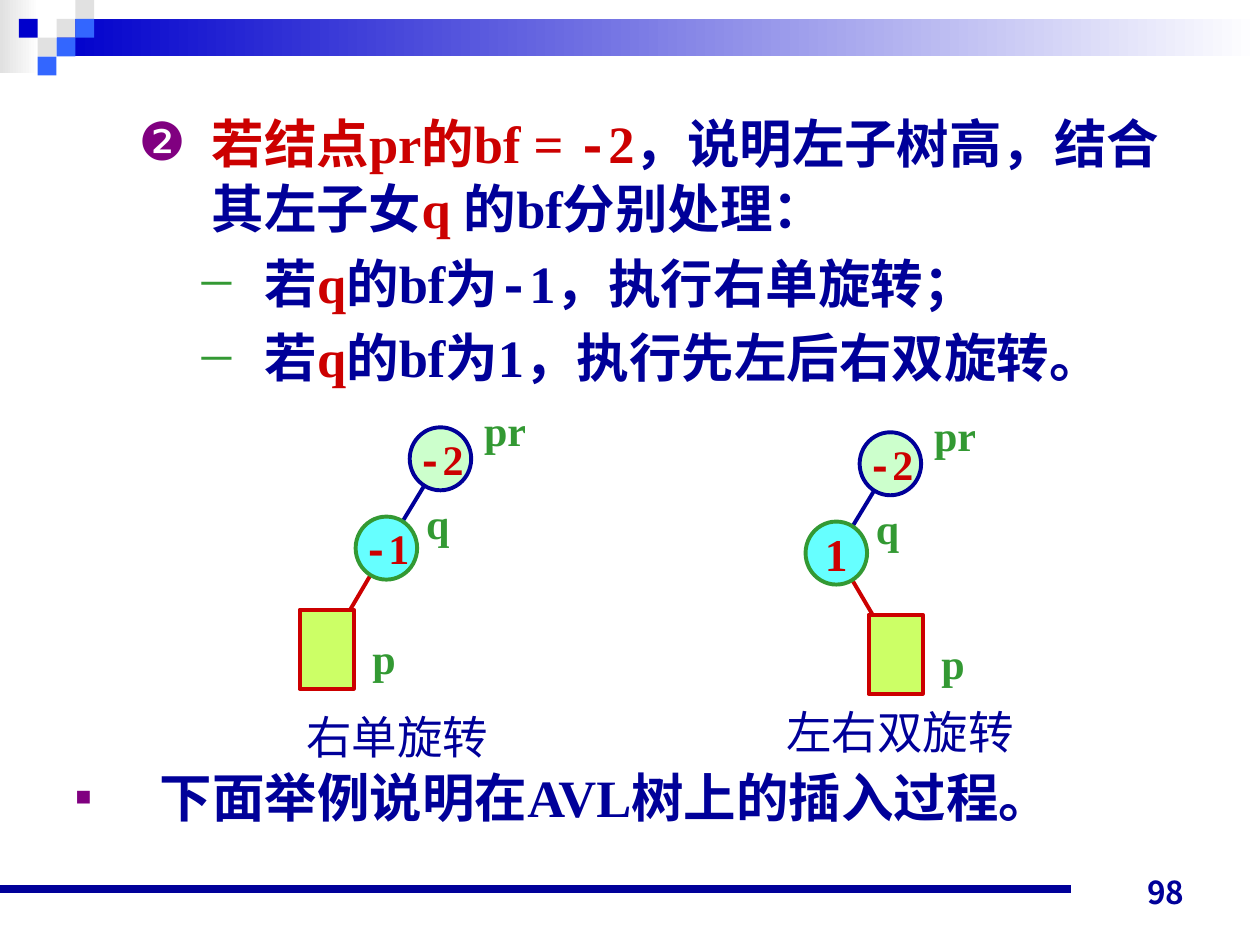
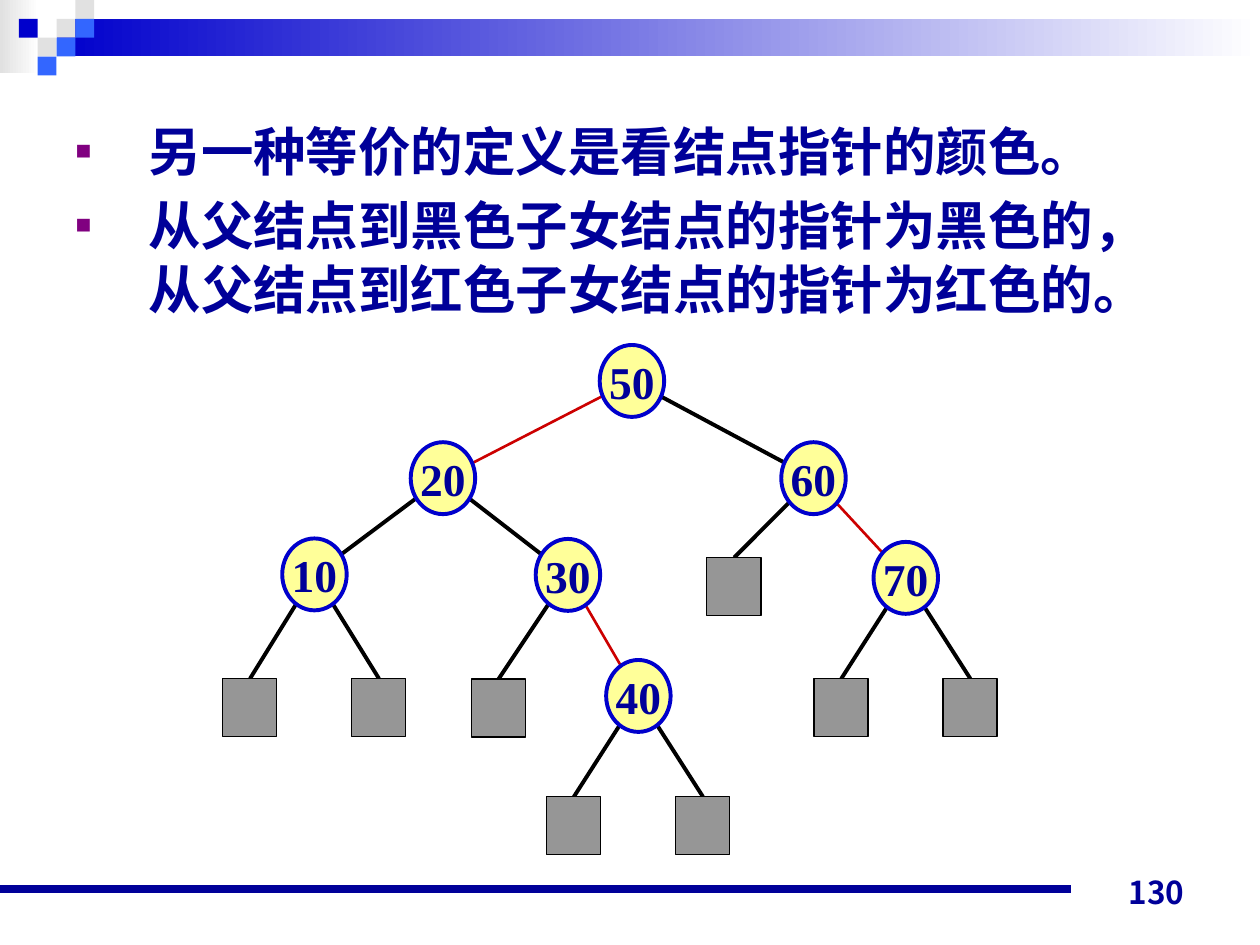
"""Build two slides on AVL rotations and red-black tree pointers."""
from math import hypot

from pptx import Presentation
from pptx.dml.color import RGBColor
from pptx.enum.shapes import MSO_CONNECTOR, MSO_SHAPE
from pptx.enum.text import MSO_ANCHOR, MSO_AUTO_SIZE, PP_ALIGN
from pptx.oxml.ns import qn
from pptx.util import Cm, Pt
from lxml.etree import SubElement

COLOURS = {
    "navy": "000099", "blue": "0000CC", "sky": "3366FF", "grey": "E1E1E1",
    "white": "FFFFFF", "black": "000000", "red": "CC0000", "green": "339933",
    "purple": "800080", "mint": "CCFFCC", "cyan": "66FFFF", "lime": "CCFF66",
    "yellow": "FFFF99", "leaf": "969696",
}
SERIF, MONO, SANS, CJK = "Times New Roman", "Courier New", "Arial", "Noto Sans CJK JP"
PIXEL = 0.38
AVL_SIZE = (1.24, 1.27)
TREE_SIZE = (1.3, 1.45)
SQUARE_BULLET = {"bullet": "■", "bullet_colour": "purple", "bullet_size": 50}
DASH_BULLET = {"bullet": "─", "bullet_colour": "green", "bullet_size": 80,
               "level": 1, "left": 3.81, "hanging": 1.27}


def colour(name):
    """Return the named palette colour."""
    return RGBColor.from_string(COLOURS[name])


def write(paragraph, text, size=30, font=SERIF, ink="navy", bold=True):
    """Append text to a paragraph, with a leading minus in the fixed-width font."""
    pieces = ["-", text[1:]] if text.startswith("-") else [text]
    for piece in pieces:
        run = paragraph.add_run()
        run.text = piece
        run.font.size = Pt(size)
        run.font.bold = bold
        run.font.name = MONO if piece == "-" else font
        run.font.color.rgb = colour(ink)
        SubElement(run.font._element, qn("a:ea")).set("typeface", CJK)


def add_label(slide, text, left, top, width, height=1.27,
              align=PP_ALIGN.LEFT, anchor=MSO_ANCHOR.TOP, **text_format):
    """Add a one-line text box."""
    label = slide.shapes.add_textbox(Cm(left), Cm(top), Cm(width), Cm(height))
    frame = label.text_frame
    frame.word_wrap = False
    frame.vertical_anchor = anchor
    frame.paragraphs[0].alignment = align
    write(frame.paragraphs[0], text, **text_format)


def add_box(slide, left, top, width, height, fill,
            kind=MSO_SHAPE.RECTANGLE, line=None, line_width=2.25):
    """Add a flat shape; a pair of fill names makes a gradient."""
    shape = slide.shapes.add_shape(kind, Cm(left), Cm(top), Cm(width), Cm(height))
    shape.shadow.inherit = False
    if isinstance(fill, tuple):
        shape.fill.gradient()
        shape.fill.gradient_angle = 0
        for stop, name in zip(shape.fill.gradient_stops, fill):
            stop.color.rgb = colour(name)
    else:
        shape.fill.solid()
        shape.fill.fore_color.rgb = colour(fill)
    if line:
        shape.line.color.rgb = colour(line)
        shape.line.width = Pt(line_width)
    else:
        shape.line.fill.background()
    return shape


def add_node(slide, center, extent, text, fill, line, **text_format):
    """Add a round tree node around its center, with its value inside."""
    left, top = center[0] - extent[0] / 2, center[1] - extent[1] / 2
    shape = add_box(slide, left, top, *extent, fill, MSO_SHAPE.OVAL, line)
    frame = shape.text_frame
    frame.word_wrap = False
    frame.margin_left = frame.margin_right = 0
    frame.margin_top = frame.margin_bottom = 0
    frame.vertical_anchor = MSO_ANCHOR.MIDDLE
    frame.paragraphs[0].alignment = PP_ALIGN.CENTER
    write(frame.paragraphs[0], text, **text_format)


def add_line(slide, start, end, ink, width=2.25):
    """Add a straight line without shadow."""
    ends = [Cm(value) for value in (*start, *end)]
    connector = slide.shapes.add_connector(MSO_CONNECTOR.STRAIGHT, *ends)
    connector.line.color.rgb = colour(ink)
    connector.line.width = Pt(width)
    SubElement(connector._element.spPr, qn("a:effectLst"))


def add_edge(slide, parent, child, extent, ink, width=2.25, round_child=True):
    """Join two tree nodes from rim to rim."""
    run, rise = child[0] - parent[0], child[1] - parent[1]
    trim = 1 / hypot(run / (extent[0] / 2), rise / (extent[1] / 2))
    start = (parent[0] + run * trim, parent[1] + rise * trim)
    end = (child[0] - run * trim, child[1] - rise * trim) if round_child else child
    add_line(slide, start, end, ink, width)


def add_item(paragraph, runs, bullet, bullet_colour, bullet_size=100,
             level=0, left=1.47, hanging=1.47, before=6, spacing=36.5):
    """Fill a body paragraph with a bullet and coloured runs."""
    properties = paragraph._p.get_or_add_pPr()
    properties.set("marL", str(Cm(left)))
    properties.set("indent", str(-Cm(hanging)))
    shade = SubElement(SubElement(properties, qn("a:buClr")), qn("a:srgbClr"))
    shade.set("val", COLOURS[bullet_colour])
    SubElement(properties, qn("a:buSzPct")).set("val", str(bullet_size * 1000))
    SubElement(properties, qn("a:buFont")).set("typeface", SANS)
    SubElement(properties, qn("a:buChar")).set("char", bullet)
    paragraph.level = level
    paragraph.space_before = Pt(before)
    paragraph.line_spacing = Pt(spacing)
    for text, ink in runs:
        write(paragraph, text, ink=ink)


def add_body(slide, top, height, items):
    """Place the body placeholder and fill it with bulleted items."""
    body = slide.placeholders[1]
    body.left, body.top, body.width, body.height = Cm(1.27), Cm(top), Cm(22.86), Cm(height)
    frame = body.text_frame
    frame.auto_size = MSO_AUTO_SIZE.NONE
    frame.margin_top = Cm(0.25)
    for index, (runs, item_format) in enumerate(items):
        paragraph = frame.add_paragraph() if index else frame.paragraphs[0]
        add_item(paragraph, runs, **item_format)


def add_page(presentation, number):
    """Add a slide with the shared header band, footer rule and number."""
    slide = presentation.slides.add_slide(presentation.slide_layouts[1])
    title = slide.shapes.title._element
    title.getparent().remove(title)
    add_box(slide, 0, 0, 0.79, 1.47, ("grey", "white"))
    add_box(slide, 3 * PIXEL, PIXEL, 24.26, 2 * PIXEL, ("blue", "white"))
    pixels = [(3, 1, "grey"), (4, 0, "grey"), (4, 1, "sky"), (2, 2, "grey"),
              (1, 1, "blue"), (3, 2, "sky"), (2, 3, "sky")]
    for column, row, fill in pixels:
        add_box(slide, column * PIXEL, row * PIXEL, PIXEL, PIXEL, fill)
    add_line(slide, (0, 17.93), (21.59, 17.93), "navy", 4.5)
    add_label(slide, number, 18.21, 17.22, 5.92, align=PP_ALIGN.RIGHT,
              anchor=MSO_ANCHOR.BOTTOM, size=18, font=CJK)
    return slide


def add_rotation_tree(slide, x, y, balance, balance_size, side):
    """Draw pr, its left child q, and subtree p on the given side of q."""
    pr, q = (x, y), (x - 1.09, y + 1.8)
    p_left, p_top = q[0] + side * 1.2 - 0.55, q[1] + 1.24
    add_edge(slide, q, (q[0] + side * 1.03, q[1] + 1.75), AVL_SIZE, "red",
             round_child=False)
    add_edge(slide, pr, q, AVL_SIZE, "navy")
    add_node(slide, pr, AVL_SIZE, "-2", "mint", "navy", size=24, ink="red")
    add_node(slide, q, AVL_SIZE, balance, "cyan", "green", size=balance_size, ink="red")
    add_box(slide, p_left, p_top, 1.09, 1.6, "lime", line="red")
    labels = [("pr", x + 0.63, y - 1.22, 1.35), ("q", x - 0.54, y + 0.65, 1),
              ("p", p_left + 1.22, p_top + 0.33, 1)]
    for text, left, top, width in labels:
        add_label(slide, text, left, top, width, size=24, ink="green")


def build_avl_slide(presentation):
    """Build the slide on the two AVL rotations."""
    slide = add_page(presentation, "98")
    add_body(slide, 1.93, 15.7, [
        ([("若结点pr的bf = ", "red"), ("-2", "red"), ("，说明左子树高，结合其左子女", "navy"),
          ("q ", "red"), ("的bf分别处理：", "navy")],
         {"bullet": "❷", "bullet_colour": "purple", "left": 2.74, "before": 0,
          "spacing": 37.5}),
        ([("若", "navy"), ("q", "red"), ("的bf为", "navy"), ("-1，执行右单旋转；", "navy")],
         DASH_BULLET),
        ([("若", "navy"), ("q", "red"), ("的bf为1，执行先左后右双旋转。", "navy")],
         DASH_BULLET),
        ([("下面举例说明在AVL树上的插入过程。", "navy")],
         {**SQUARE_BULLET, "left": 1.7, "hanging": 1.7, "before": 215}),
    ])
    add_rotation_tree(slide, 8.88, 9.25, "-1", 24, side=-1)
    add_rotation_tree(slide, 17.95, 9.35, "1", 26, side=1)
    captions = [("右单旋转", 5.92, 14.17, 4.19), ("左右双旋转", 15.6, 14.07, 5.11)]
    for text, left, top, width in captions:
        add_label(slide, text, left, top, width, 1.35, size=26, font=SANS, bold=False)


def build_red_black_slide(presentation):
    """Build the slide on pointer colours in a red-black tree."""
    slide = add_page(presentation, "130")
    add_body(slide, 2.13, 4.9, [
        ([("另一种等价的定义是看结点指针的颜色。", "navy")], {**SQUARE_BULLET, "before": 0}),
        ([("从父结点到黑色子女结点的指针为黑色的，从父结点到红色子女结点的指针为红色的。", "navy")],
         SQUARE_BULLET),
    ])
    nodes = {50: (12.74, 7.68), 20: (8.93, 9.64), 60: (16.4, 9.64), 10: (6.34, 11.58),
             30: (11.45, 11.59), 70: (18.26, 11.65), 40: (12.87, 14.03)}
    edges = [(50, 20, "red"), (50, 60, "black"), (20, 10, "black"),
             (20, 30, "black"), (60, 70, "red"), (30, 40, "red")]
    leaves = [(10, -1.3, 2.1), (10, 1.3, 2.1), (30, -1.4, 2.1), (60, -1.6, 1.6),
              (70, -1.3, 2.03), (70, 1.3, 2.03), (40, -1.3, 2.03), (40, 1.3, 2.03)]
    for parent, child, ink in edges:
        add_edge(slide, nodes[parent], nodes[child], TREE_SIZE, ink,
                 1.5 if ink == "red" else 2.25)
    for parent, across, down in leaves:
        x, y = nodes[parent]
        leaf = (x + across, y + down)
        add_edge(slide, (x, y), leaf, TREE_SIZE, "black", round_child=False)
        add_box(slide, leaf[0] - 0.55, leaf[1], 1.09, 1.17, "leaf",
                line="black", line_width=0.75)
    for value, center in nodes.items():
        add_node(slide, center, TREE_SIZE, str(value), "yellow", "blue", size=26)


def main():
    """Build and save the presentation."""
    presentation = Presentation()
    presentation.slide_width, presentation.slide_height = Cm(25.4), Cm(19.05)
    build_avl_slide(presentation)
    build_red_black_slide(presentation)
    presentation.save("out.pptx")


if __name__ == "__main__":
    main()
